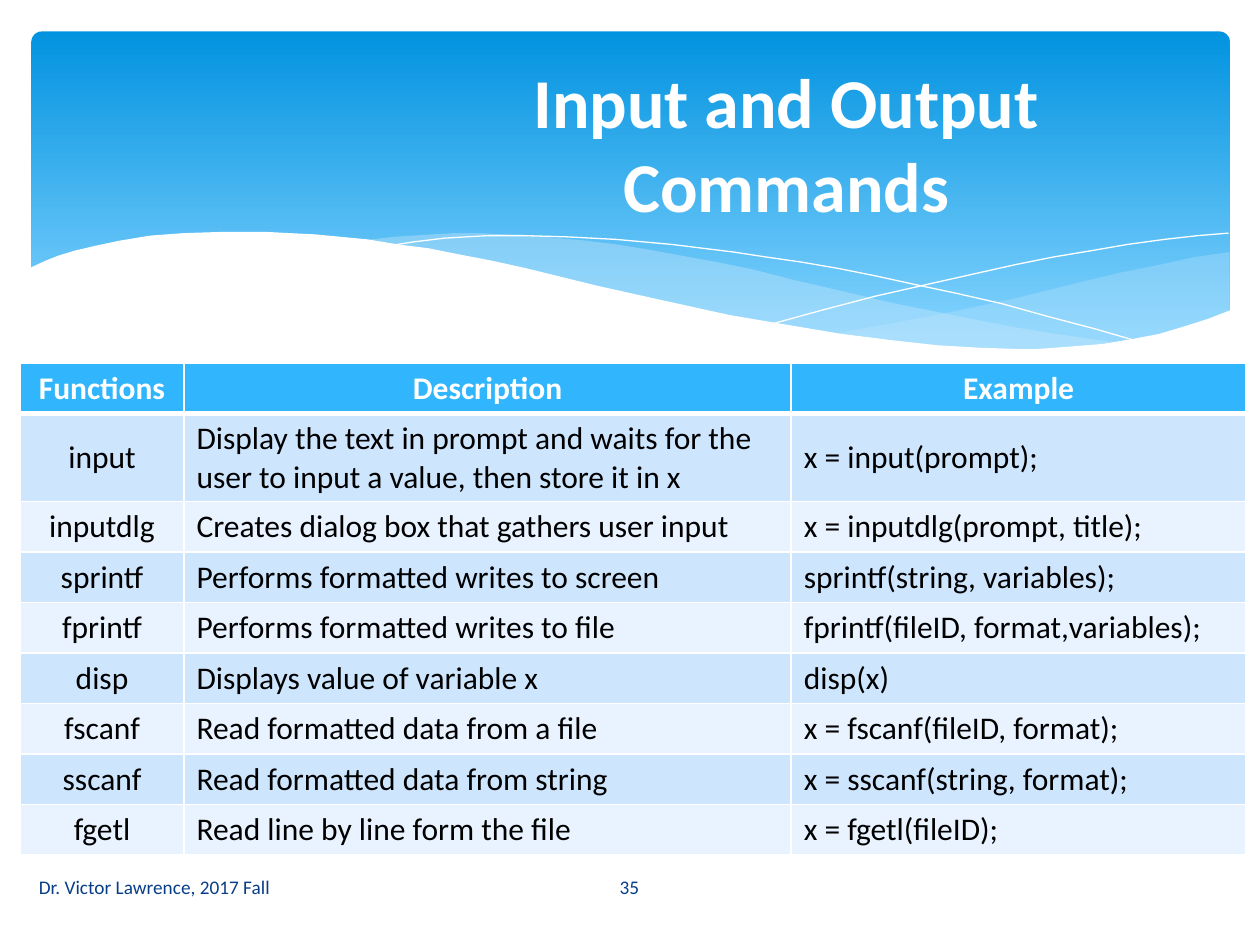
import lxml.etree
import pptx
import pptx.dml.color
import pptx.enum.dml
import pptx.enum.shapes
import pptx.enum.text
import pptx.oxml.ns
import pptx.util

Inches = pptx.util.Inches
Pt = pptx.util.Pt
RGBColor = pptx.dml.color.RGBColor
CENTER = pptx.enum.text.PP_ALIGN.CENTER
LEFT = pptx.enum.text.PP_ALIGN.LEFT
MIDDLE = pptx.enum.text.MSO_ANCHOR.MIDDLE
TOP = pptx.enum.text.MSO_ANCHOR.TOP

WHITE = RGBColor(0xFF, 0xFF, 0xFF)
BLACK = RGBColor(0x00, 0x00, 0x00)
NAVY = RGBColor(0x07, 0x3E, 0x87)
BANNER_TOP = RGBColor(0x02, 0x93, 0xE0)
BANNER_BOTTOM = RGBColor(0x83, 0xD3, 0xFE)
WAVE = RGBColor(0xC6, 0xE7, 0xFC)
HEADER = RGBColor(0x31, 0xB6, 0xFD)
BANDS = (RGBColor(0xCE, 0xE5, 0xFE), RGBColor(0xE8, 0xF3, 0xFF))

TITLE_FORMAT = {"name": "Calibri", "size": Pt(40), "bold": True}
FOOTER_FORMAT = {"name": "Calibri", "size": Pt(11), "bold": False}
HEADER_FORMAT = {"name": "Calibri", "size": Pt(18), "bold": True}
BODY_FORMAT = {"name": "Calibri", "size": Pt(18), "bold": False}

UNITS_PER_INCH = 100
RIGHT_WAVE = [
    (976, 200), (948, 204), (921, 210), (891, 216), (861, 223), (805, 237),
    (753, 248), (706, 257), (661, 265), (691, 269), (719, 272), (745, 275),
    (769, 277), (803, 278), (835, 277), (863, 275), (889, 272), (913, 267),
    (935, 262), (949, 257), (963, 252), (976, 247),
]
LEFT_WAVE = [
    (893, 273), (866, 269), (837, 265), (807, 260), (775, 254), (741, 247),
    (706, 240), (668, 231), (629, 222), (598, 214), (569, 208), (541, 203),
    (514, 198), (489, 194), (465, 191), (442, 189), (420, 187), (399, 186),
    (380, 185), (361, 185), (344, 186), (313, 188), (286, 191), (323, 196),
    (362, 203), (404, 211), (449, 222), (491, 232), (530, 240), (566, 248),
    (601, 255), (634, 261), (665, 266), (695, 270), (722, 274), (748, 276),
    (773, 277), (796, 278), (828, 278), (857, 277), (876, 275),
]
FALLING_LINE = [
    (309, 195), (328, 192), (353, 189), (387, 187), (416, 187), (450, 188),
    (489, 190), (533, 194), (582, 200), (608, 204), (636, 208), (665, 213),
    (695, 219), (727, 226), (760, 233), (795, 241), (831, 251), (869, 261),
    (907, 272),
]
RISING_LINE = [
    (613, 257), (653, 246), (695, 235), (748, 223), (806, 210), (836, 204),
    (866, 199), (895, 194), (924, 190), (951, 187), (975, 185),
]
WHITE_WAVE = [
    (977, 246), (959, 253), (940, 259), (920, 265), (899, 269), (875, 273),
    (850, 275), (823, 277), (809, 277), (778, 276), (744, 274), (708, 270),
    (668, 265), (626, 258), (579, 250), (529, 239), (475, 227), (418, 213),
    (391, 207), (365, 202), (340, 197), (316, 194), (292, 190), (271, 188),
    (250, 186), (230, 185), (211, 184), (177, 184), (146, 185), (119, 187),
    (95, 191), (76, 195), (59, 199), (46, 203), (36, 207), (23, 213),
    (23, 329), (977, 329),
]

COLUMN_WIDTHS = (1.3, 4.82, 3.61)
ROW_HEIGHT = 0.35
ROWS = [
    ("Functions", "Description", "Example"),
    ("input",
     "Display the text in prompt and waits for the user to input a value, then store it in x",
     "x = input(prompt);"),
    ("inputdlg", "Creates dialog box that gathers user input", "x = inputdlg(prompt, title);"),
    ("sprintf", "Performs formatted writes to screen", "sprintf(string, variables);"),
    ("fprintf", "Performs formatted writes to file", "fprintf(fileID, format,variables);"),
    ("disp", "Displays value of variable x", "disp(x)"),
    ("fscanf", "Read formatted data from a file", "x = fscanf(fileID, format);"),
    ("sscanf", "Read formatted data from string", "x = sscanf(string, format);"),
    ("fgetl", "Read line by line form the file", "x = fgetl(fileID);"),
]


def write_text(frame, text, text_format, color, align):
    paragraph = frame.paragraphs[0]
    paragraph.alignment = align
    run = paragraph.add_run()
    run.text = text
    for attribute, value in text_format.items():
        setattr(run.font, attribute, value)
    run.font.color.rgb = color


def add_label(slide, box, text, text_format, color, align):
    label = slide.shapes.add_textbox(*map(Inches, box))
    label.text_frame.word_wrap = True
    label.text_frame.vertical_anchor = MIDDLE
    write_text(label.text_frame, text, text_format, color, align)


def add_banner(slide):
    banner = slide.shapes.add_shape(
        pptx.enum.shapes.MSO_SHAPE.ROUNDED_RECTANGLE,
        Inches(0.25), Inches(0.25), Inches(9.51), Inches(2.7))
    banner.adjustments[0] = 0.03
    banner.shadow.inherit = False
    banner.line.fill.background()
    banner.fill.gradient()
    banner.fill.gradient_angle = 270
    stops = ((0, BANNER_TOP), (0.9, BANNER_BOTTOM))
    for stop, (position, color) in zip(banner.fill.gradient_stops, stops):
        stop.position = position
        stop.color.rgb = color


def add_outline(slide, points, close):
    builder = slide.shapes.build_freeform(*points[0], scale=Inches(1) / UNITS_PER_INCH)
    builder.add_line_segments(points[1:], close=close)
    outline = builder.convert_to_shape()
    outline.shadow.inherit = False
    return outline


def add_wave(slide, points, color, opacity):
    wave = add_outline(slide, points, True)
    wave.line.fill.background()
    wave.fill.solid()
    wave.fill.fore_color.rgb = color
    if opacity < 100:
        tint = wave.fill._xPr.find(".//" + pptx.oxml.ns.qn("a:srgbClr"))
        lxml.etree.SubElement(tint, pptx.oxml.ns.qn("a:alpha"), val=str(opacity * 1000))


def add_curve(slide, points):
    curve = add_outline(slide, points, False)
    curve.fill.background()
    curve.line.color.rgb = WHITE
    curve.line.width = Pt(0)


def set_borders(cell, widths):
    properties = cell._tc.get_or_add_tcPr()
    for position, (side, width) in enumerate(widths.items()):
        border = lxml.etree.Element(pptx.oxml.ns.qn("a:ln" + side), w=str(Pt(width)))
        fill = lxml.etree.SubElement(border, pptx.oxml.ns.qn("a:solidFill"))
        lxml.etree.SubElement(fill, pptx.oxml.ns.qn("a:srgbClr"), val=str(WHITE))
        properties.insert(position, border)


def add_command_table(slide):
    commands = slide.shapes.add_table(
        len(ROWS), len(COLUMN_WIDTHS), Inches(0.16), Inches(2.88),
        Inches(sum(COLUMN_WIDTHS)), Inches(ROW_HEIGHT * len(ROWS))).table
    for column, width in zip(commands.columns, COLUMN_WIDTHS):
        column.width = Inches(width)
    for row_index, texts in enumerate(ROWS):
        is_header = row_index == 0
        for column_index, text in enumerate(texts):
            cell = commands.cell(row_index, column_index)
            cell.vertical_anchor = TOP if is_header else MIDDLE
            cell.fill.solid()
            cell.fill.fore_color.rgb = HEADER if is_header else BANDS[(row_index - 1) % 2]
            set_borders(cell, {"L": 1, "R": 1, "T": 3 if row_index == 1 else 1,
                               "B": 3 if is_header else 1})
            write_text(cell.text_frame, text,
                       HEADER_FORMAT if is_header else BODY_FORMAT,
                       WHITE if is_header else BLACK,
                       CENTER if is_header or column_index == 0 else LEFT)


def main():
    deck = pptx.Presentation()
    deck.slide_width = Inches(10)
    deck.slide_height = Inches(7.5)
    slide = deck.slides.add_slide(deck.slide_layouts[6])
    add_banner(slide)
    add_wave(slide, RIGHT_WAVE, WAVE, 29)
    add_wave(slide, LEFT_WAVE, WAVE, 40)
    add_curve(slide, FALLING_LINE)
    add_curve(slide, RISING_LINE)
    add_wave(slide, WHITE_WAVE, WHITE, 100)
    add_label(slide, (3.05, 0.35, 6.38, 1.57), "Input and Output Commands",
              TITLE_FORMAT, WHITE, CENTER)
    add_label(slide, (4.36, 6.84, 1.27, 0.4), "35", FOOTER_FORMAT, NAVY, CENTER)
    add_label(slide, (0.21, 6.84, 4.14, 0.4), "Dr. Victor Lawrence, 2017 Fall",
              FOOTER_FORMAT, NAVY, LEFT)
    add_command_table(slide)
    deck.save("out.pptx")


if __name__ == "__main__":
    main()
